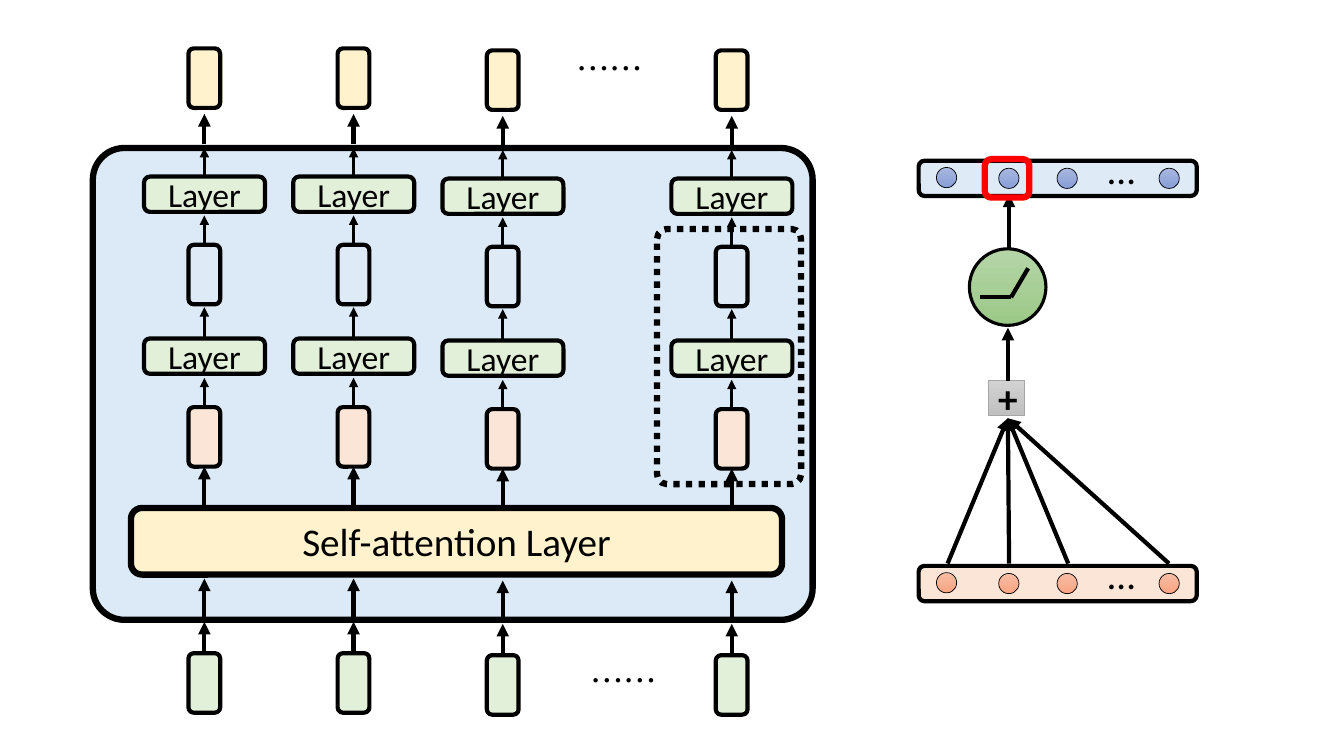
from dataclasses import dataclass

from pptx import Presentation
from pptx.dml.color import RGBColor as RGB
from pptx.enum.dml import MSO_LINE as DASH
from pptx.enum.shapes import MSO_CONNECTOR as CONN, MSO_SHAPE as SHAPE
from pptx.enum.text import MSO_ANCHOR as ANCHOR, MSO_AUTO_SIZE as FIT, PP_ALIGN as ALIGN
from pptx.oxml.ns import qn
from pptx.util import Cm, Pt


@dataclass(frozen=True)
class Theme:
    ink: str = "000000"
    panel: str = "DCEAF7"
    blue: str = "DEEBF7"
    green: str = "E2F0D9"
    yellow: str = "FFF2CC"
    peach: str = "FBE5D6"
    red: str = "FF0000"
    grey_edge: str = "A5A5A5"
    relu: tuple = ("B5D5A7", "9CC987")
    plus: tuple = ("D2D2D2", "C0C0C0")
    neuron_in: tuple = ("F7BDA5", "F8A582")
    neuron_out: tuple = ("A8B7DF", "889ED7")
    font: str = "Calibri"
    cjk_font: str = "Noto Sans CJK SC"
    label: int = 24
    heading: int = 28
    hair: float = 0.5
    thin: float = 2.25
    medium: float = 3
    thick: float = 4.5


class Diagram:
    def __init__(self, slide, theme):
        self.slide = slide
        self.theme = theme

    def label(self, sp, text, size, font=None, bold=None):
        tf = sp.text_frame
        tf.text = text
        p = tf.paragraphs[0]
        p.alignment = ALIGN.CENTER
        r = p.runs[0]
        r.font.name = font or self.theme.font
        r.font.size = Pt(size)
        r.font.bold = bold
        r.font.color.rgb = RGB.from_string(self.theme.ink)
        rpr = r._r.get_or_add_rPr()
        rpr.append(rpr.makeelement(qn("a:ea"), {"typeface": r.font.name}))

    def shape(self, kind, box, fill=None, width=None, edge=None, radius=None, dash=None):
        sp = self.slide.shapes.add_shape(kind, *map(Cm, box))
        sp.shadow.inherit = False
        if fill is None:
            sp.fill.background()
        elif isinstance(fill, tuple):
            sp.fill.gradient()
            sp.fill.gradient_angle = 270
            for stop, color in zip(sp.fill.gradient_stops, fill):
                stop.color.rgb = RGB.from_string(color)
        else:
            sp.fill.solid()
            sp.fill.fore_color.rgb = RGB.from_string(fill)
        sp.line.color.rgb = RGB.from_string(edge or self.theme.ink)
        sp.line.width = Pt(width or self.theme.medium)
        if dash:
            sp.line.dash_style = dash
        if radius:
            sp.adjustments[0] = radius
        return sp

    def block(self, box, fill, text, size, width=None):
        sp = self.shape(SHAPE.ROUNDED_RECTANGLE, box, fill, width)
        sp.text_frame.vertical_anchor = ANCHOR.MIDDLE
        self.label(sp, text, size)

    def text(self, box, text, size, font=None, bold=None, wrap=True):
        sp = self.slide.shapes.add_textbox(*map(Cm, box))
        sp.text_frame.word_wrap = wrap
        sp.text_frame.auto_size = FIT.SHAPE_TO_FIT_TEXT
        self.label(sp, text, size, font, bold)

    def line(self, start, end, width=None, arrow=True):
        ln = self.slide.shapes.add_connector(CONN.STRAIGHT, *map(Cm, (*start, *end)))
        ln.line.color.rgb = RGB.from_string(self.theme.ink)
        ln.line.width = Pt(width or self.theme.medium)
        sppr = ln._element.spPr
        if arrow:
            stroke = sppr.find(qn("a:ln"))
            stroke.append(stroke.makeelement(qn("a:tailEnd"), {"type": "triangle"}))
        sppr.append(sppr.makeelement(qn("a:effectLst"), {}))

    def column(self, x, dy):
        t = self.theme
        for top, fill in ((16.46, t.green), (1.22, t.yellow), (10.26, t.peach), (6.17, t.blue)):
            self.shape(SHAPE.ROUNDED_RECTANGLE, (x - 0.4, top + dy, 0.8, 1.5), fill)
        for top in (8.53, 4.45):
            self.block((x - 1.52, top + dy, 3.05, 0.89), t.green, "Layer", t.label)
        for bottom, length, width in (
            (16.43, 0.76, t.medium), (15.62, 1.04, t.medium),
            (12.8, 1.04, t.medium), (3.63, 0.76, t.medium),
            (10.26, 0.74, t.thin), (8.48, 0.74, t.thin),
            (6.17, 0.74, t.thin), (4.47, 0.74, t.thin),
        ):
            self.line((x, bottom + dy), (x, bottom + dy - length), width)

    def vector(self, top, fill, neuron):
        t = self.theme
        bar = self.shape(SHAPE.ROUNDED_RECTANGLE, (26.21, top - 3.06, 0.89, 7.01), fill)
        bar.rotation = 90
        for x, dy in ((23.6, 0.17), (25.17, 0.19), (26.64, 0.19), (29.21, 0.19)):
            self.shape(SHAPE.OVAL, (x, top + dy, 0.51, 0.51), neuron, t.hair)
        self.text((27.41, top - 0.52, 1.7, 1.45), "…", t.heading)


def draw_attention_block(d):
    t = d.theme
    d.shape(SHAPE.ROUNDED_RECTANGLE, (2.34, 3.73, 18.14, 11.89), t.panel, t.thick, radius=0.067)
    for x, y in ((13.23, 16.51), (12.88, 1.09)):
        d.text((x, y, 4.98, 1.27), "……", t.label, t.cjk_font)
    d.block((3.3, 12.8, 16.41, 1.68), t.yellow, "Self-attention Layer", t.heading, t.thick)
    for x, dy in ((5.15, 0), (8.91, 0), (12.67, 0.05), (18.44, 0.05)):
        d.column(x, dy)
    d.shape(SHAPE.ROUNDED_RECTANGLE, (16.56, 5.77, 3.63, 6.43), None, t.thick,
            radius=0.067, dash=DASH.ROUND_DOT)


def draw_neuron(d):
    t = d.theme
    d.shape(SHAPE.OVAL, (24.43, 6.27, 1.93, 1.93), t.relu, t.thin)
    d.line((24.69, 7.49), (25.48, 7.49), arrow=False)
    d.line((25.48, 7.49), (25.91, 6.76), arrow=False)
    d.shape(SHAPE.RECTANGLE, (24.92, 9.58, 0.89, 0.89), t.plus, t.hair, t.grey_edge)
    d.text((24.89, 9.32, 1.02, 1.45), "+", t.heading, bold=True, wrap=False)
    d.vector(14.26, t.peach, t.neuron_in)
    d.vector(4.05, t.blue, t.neuron_out)
    d.line((25.4, 9.6), (25.4, 8.26))
    d.line((25.43, 6.25), (25.43, 4.9))
    for x in (25.43, 23.88, 26.92, 29.46):
        d.line((x, 14.2), (25.4, 10.54))
    d.shape(SHAPE.ROUNDED_RECTANGLE, (24.82, 4.01, 1.12, 0.97), None, t.thick, t.red)


def main():
    prs = Presentation()
    prs.slide_width, prs.slide_height = Cm(33.87), Cm(19.05)
    d = Diagram(prs.slides.add_slide(prs.slide_layouts[6]), Theme())
    draw_attention_block(d)
    draw_neuron(d)
    prs.save("out.pptx")


if __name__ == "__main__":
    main()
